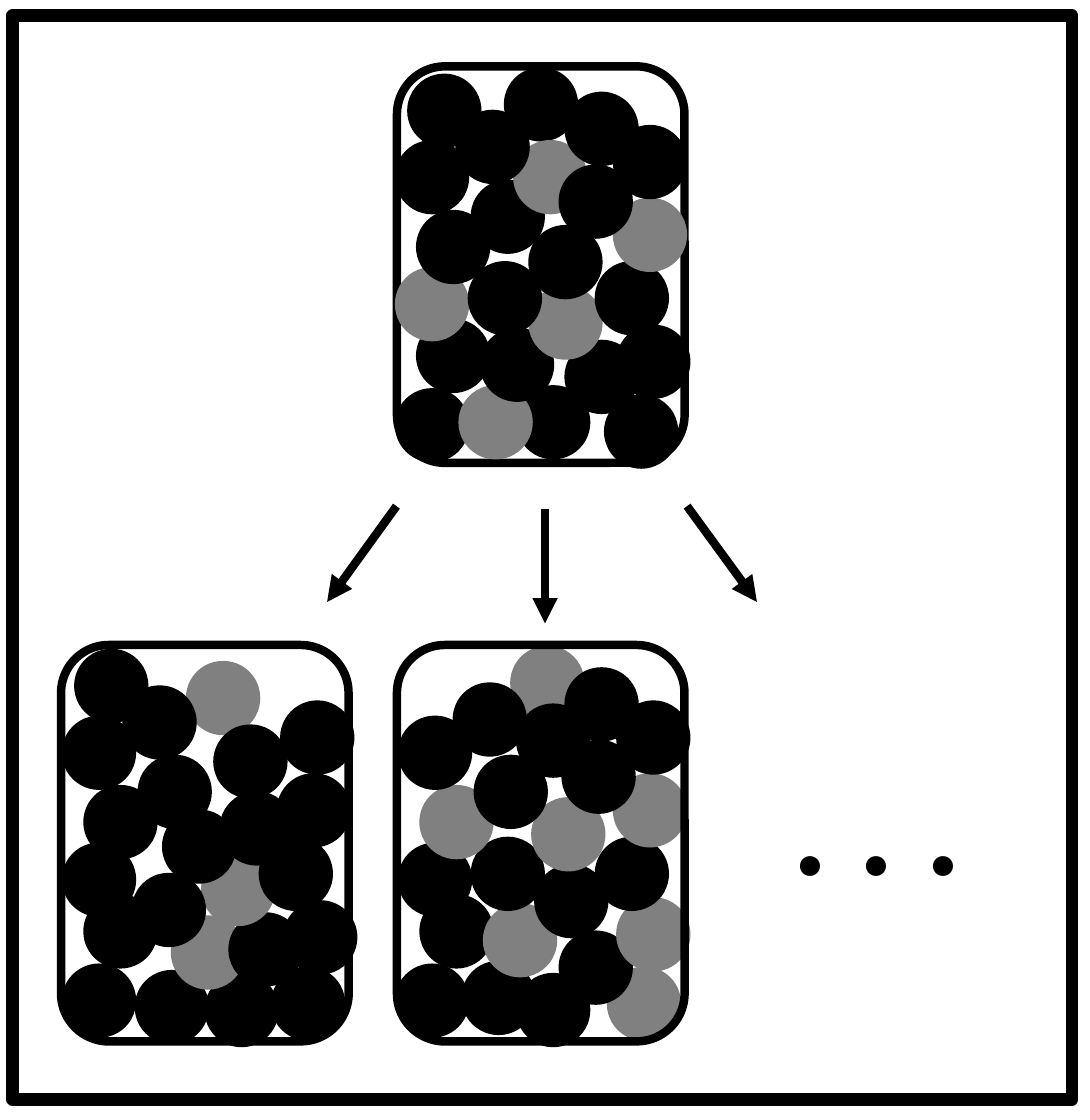
from dataclasses import dataclass

from lxml.etree import SubElement
from pptx import Presentation
from pptx.dml.color import RGBColor
from pptx.enum.shapes import MSO_CONNECTOR as Connector, MSO_SHAPE as Preset
from pptx.enum.text import MSO_AUTO_SIZE as AutoSize
from pptx.oxml.ns import qn
from pptx.util import Pt


@dataclass(frozen=True)
class Theme:
    """Colours, type and line sizes of the slide."""
    black: RGBColor = RGBColor(0, 0, 0)
    grey: RGBColor = RGBColor(128, 128, 128)
    font: str = "Calibri"
    text_size: float = 32
    frame_line: float = 3
    line: float = 2
    ball_line: float = 1


JAR_WIDTH, JAR_HEIGHT, BALL_SIZE = 68.4, 94.3, 16.7
MIDDLE, LOWER = 94.4, 153.4

SOURCE_BLACK = [
    (25.9, 0.7), (0, 77), (5, 60.5), (28.8, 76.3)]
SOURCE_BALLS = [
    (25.9, 0.7, "b"), (0, 77, "b"), (5, 60.5, "b"), (28.8, 76.3, "b"),
    (15.1, 76.3, "g"), (0, 48.2, "g"), (20.2, 62.6, "b"), (49.7, 78.5, "b"),
    (40.3, 65.5, "b"), (31.7, 52.6, "g"), (52.6, 61.9, "b"), (47.5, 46.8, "b"),
    (17.3, 46.8, "b"), (31.7, 38.2, "b"), (5, 34.6, "b"), (51.8, 31.7, "g"),
    (18, 27.4, "b"), (0, 18, "b"), (28.1, 18, "g"), (51.8, 14.4, "b"),
    (40.3, 6.5, "b"), (14.4, 10.8, "b"), (2.9, 2.2, "b"), (38.9, 23.8, "b")]
LEFT_BALLS = [
    (0.7, 76.3, "b"), (5.8, 59.8, "b"), (34.6, 78.5, "b"), (18, 77.8, "b"),
    (0.7, 47.5, "b"), (26.6, 64.8, "g"), (50.4, 77, "b"), (40.3, 64.1, "b"),
    (33.8, 49.7, "g"), (53.3, 61.2, "b"), (47.5, 46.1, "b"), (17.3, 54.7, "b"),
    (24.5, 39.6, "b"), (5.8, 33.8, "b"), (51.8, 31, "b"), (18.7, 26.6, "b"),
    (0.7, 17.3, "b"), (30.2, 4.3, "g"), (52.6, 13.7, "b"), (36.7, 19.4, "b"),
    (15.1, 10.1, "b"), (3.6, 1.4, "b"), (38.2, 35.3, "b")]
MIDDLE_BALLS = [
    (0, 76.3, "b"), (5.8, 59.8, "b"), (28.8, 78.5, "b"), (15.8, 75.6, "b"),
    (0.7, 47.5, "b"), (20.9, 61.9, "g"), (50.4, 77, "g"), (38.9, 68.4, "b"),
    (33.1, 52.6, "b"), (52.6, 60.5, "g"), (47.5, 46.1, "b"), (18, 46.1, "b"),
    (32.4, 36.7, "g"), (5.8, 33.8, "g"), (51.8, 31, "g"), (18.7, 26.6, "b"),
    (0.7, 17.3, "b"), (27.4, 0.7, "g"), (52.6, 13.7, "b"), (40.3, 5.8, "b"),
    (28.8, 14.4, "b"), (13.7, 9.4, "b"), (39.6, 23, "b")]
ARROWS = [(129.6, 121, 129.6, 148.3), (94.3, 120.4, 77.8, 143.2),
          (163.4, 120.4, 180, 143.2)]


class Sketch:
    """Draws the elements of one slide in one style."""

    def __init__(self, slide, theme):
        """Keep the slide and its style."""
        self.slide, self.theme = slide, theme

    def outline(self, preset, left, top, width, height, weight):
        """Draw an unfilled black outline."""
        shape = self.slide.shapes.add_shape(
            preset, Pt(left), Pt(top), Pt(width), Pt(height))
        shape.shadow.inherit = False
        shape.fill.background()
        shape.line.color.rgb = self.theme.black
        shape.line.width = Pt(weight)

    def jar(self, left, top):
        """Draw the rounded wall of a jar."""
        self.outline(Preset.ROUNDED_RECTANGLE, left, top,
                     JAR_WIDTH, JAR_HEIGHT, self.theme.line)

    def balls(self, left, top, places):
        """Draw a group of balls placed from the corner of a jar."""
        colours = {"b": self.theme.black, "g": self.theme.grey}
        group = self.slide.shapes.add_group_shape()
        for across, down, key in places:
            ball = group.shapes.add_shape(
                Preset.OVAL, Pt(left + across), Pt(top + down),
                Pt(BALL_SIZE), Pt(BALL_SIZE))
            ball.shadow.inherit = False
            ball.fill.solid()
            ball.fill.fore_color.rgb = colours[key]
            ball.line.color.rgb = colours[key]
            ball.line.width = Pt(self.theme.ball_line)

    def arrow(self, *ends):
        """Draw a straight arrow from the first point to the second."""
        arrow = self.slide.shapes.add_connector(
            Connector.STRAIGHT, *(Pt(end) for end in ends))
        arrow.line.color.rgb = self.theme.black
        arrow.line.width = Pt(self.theme.line)
        SubElement(arrow.line._get_or_add_ln(), qn("a:tailEnd"), type="triangle")
        SubElement(arrow._element.spPr, qn("a:effectLst"))

    def text(self, left, top, width, height, words):
        """Write one bold line that does not wrap."""
        box = self.slide.shapes.add_textbox(
            Pt(left), Pt(top), Pt(width), Pt(height))
        frame = box.text_frame
        frame.word_wrap = False
        frame.auto_size = AutoSize.SHAPE_TO_FIT_TEXT
        run = frame.paragraphs[0].add_run()
        run.text = words
        run.font.name = self.theme.font
        run.font.size = Pt(self.theme.text_size)
        run.font.bold = True
        run.font.color.rgb = self.theme.black


def main():
    """Build the slide and save it."""
    presentation = Presentation()
    presentation.slide_width, presentation.slide_height = Pt(259.2), Pt(266.4)
    slide = presentation.slides.add_slide(presentation.slide_layouts[6])
    theme = Theme()
    sketch = Sketch(slide, theme)
    sketch.outline(Preset.RECTANGLE, 3, 3.7, 252, 257.8, theme.frame_line)
    sketch.jar(14.5, LOWER)
    for ends in ARROWS:
        sketch.arrow(*ends)
    sketch.text(181.4, 172.8, 54.7, 46.1, ". . .")
    sketch.jar(MIDDLE, 15.8)
    sketch.balls(MIDDLE, 15.8, SOURCE_BALLS)
    sketch.balls(14.5, LOWER, LEFT_BALLS)
    sketch.balls(MIDDLE, LOWER, MIDDLE_BALLS)
    sketch.jar(MIDDLE, LOWER)
    presentation.save("out.pptx")


if __name__ == "__main__":
    main()
